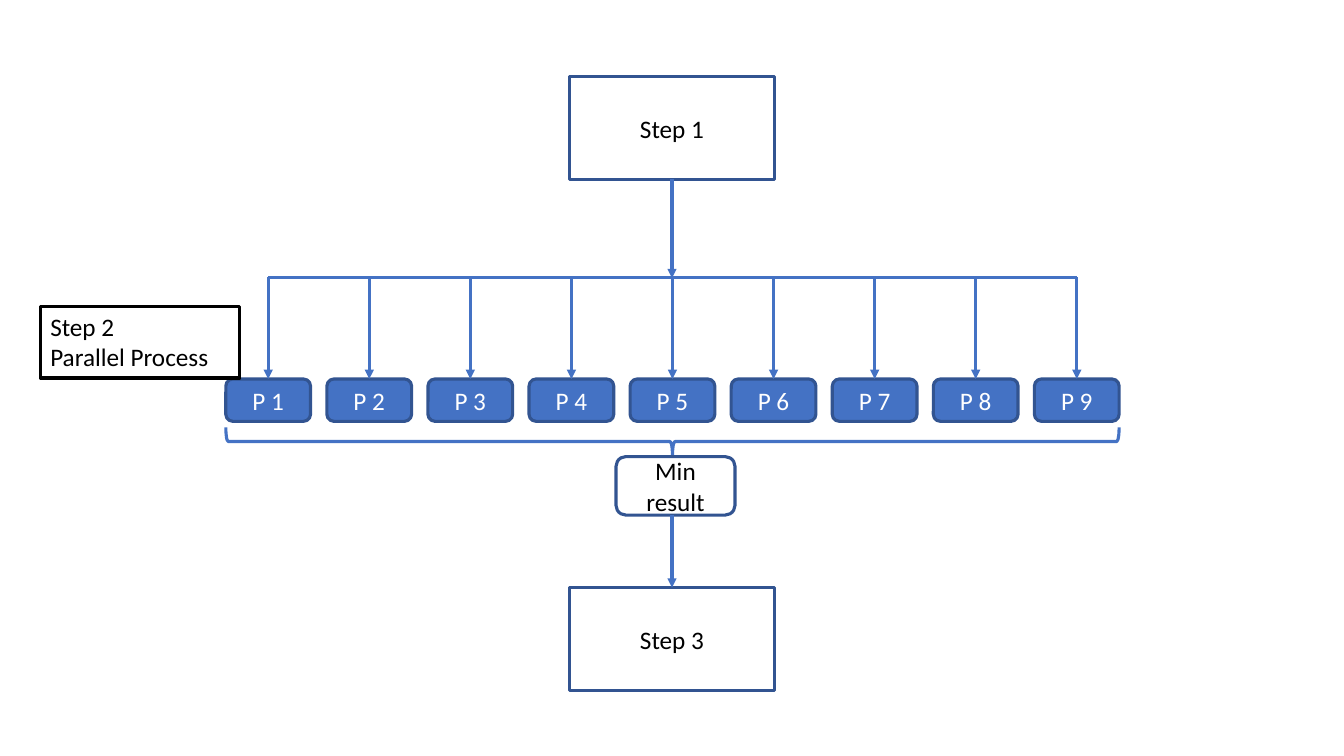
from lxml import etree
from pptx import Presentation
from pptx import util as u
from pptx.dml.color import RGBColor
from pptx.enum import shapes, text
from pptx.oxml import ns

BLUE, DARK_BLUE, WHITE, BLACK = "4472C4", "325491", "FFFFFF", "000000"
TOP, BOTTOM = 0, 2  # connection sites
LINE_WIDTH = u.Pt(2.25)


def color(value):
    return RGBColor.from_string(value)


def add_box(slide, kind, box, label="", fill=None, line=DARK_BLUE, font=BLACK,
            align=text.PP_ALIGN.CENTER, anchor=text.MSO_ANCHOR.MIDDLE):
    shape = slide.shapes.add_shape(kind, *(u.Inches(length) for length in box))
    shape.shadow.inherit = False
    if fill:
        shape.fill.solid()
        shape.fill.fore_color.rgb = color(fill)
    else:
        shape.fill.background()
    shape.line.color.rgb = color(line)
    shape.line.width = LINE_WIDTH
    frame = shape.text_frame
    frame.word_wrap = True
    frame.vertical_anchor = anchor
    frame.text = label
    for paragraph in frame.paragraphs:
        paragraph.alignment = align
        for run in paragraph.runs:
            run.font.name = "Calibri"
            run.font.size = u.Pt(18)
            run.font.color.rgb = color(font)
    return shape


def add_line(slide, start, end, source=None, target=None, arrow=True):
    line = slide.shapes.add_connector(
        shapes.MSO_CONNECTOR.STRAIGHT, *(u.Inches(length) for length in start + end))
    line.line.color.rgb = color(BLUE)
    line.line.width = LINE_WIDTH
    if arrow:
        etree.SubElement(line.line._get_or_add_ln(), ns.qn("a:tailEnd"), type="triangle")
    etree.SubElement(line._element.spPr, ns.qn("a:effectLst"))
    if source:
        line.begin_connect(source, BOTTOM)
    if target:
        line.end_connect(target, TOP)
    return line


def add_step(slide, box, label):
    return add_box(slide, shapes.MSO_SHAPE.RECTANGLE, box, label, WHITE)


def add_processes(slide, box, hub_x, count=9):
    """Branch line across the top of the box, arrows down to a row of processes."""
    left, top, width, height = box
    process_width, process_height = 0.84, 0.42
    pitch = (width - process_width) / (count - 1)
    process_top = top + height - process_height
    centers = [left + process_width / 2 + i * pitch for i in range(count)]

    # Branch line, one half to each side of the hub
    for end_x in (centers[0], centers[-1]):
        add_line(slide, (hub_x, top), (end_x, top), arrow=False)

    # Processes with their arrows
    for number, center in enumerate(centers, 1):
        process = add_box(
            slide, shapes.MSO_SHAPE.ROUNDED_RECTANGLE,
            (center - process_width / 2, process_top, process_width, process_height),
            f"P {number}", BLUE, font=WHITE)
        add_line(slide, (center, top), (center, process_top), target=process)


def add_result(slide, box, label):
    """Brace over the full width of the box, with the result below its tip."""
    left, top, width, height = box
    brace_height, result_width, result_height = 0.28, 1.18, 0.58
    # The brace is upright before it is turned about its centre
    brace = add_box(slide, shapes.MSO_SHAPE.LEFT_BRACE,
                    (left + (width - brace_height) / 2,
                     top + (brace_height - width) / 2, brace_height, width), line=BLUE)
    brace.rotation = 270
    add_box(slide, shapes.MSO_SHAPE.ROUNDED_RECTANGLE,
            (left + (width - result_width) / 2 + 0.03, top + height - result_height,
             result_width, result_height), label, WHITE)


def build_slide(presentation):
    slide = presentation.slides.add_slide(presentation.slide_layouts[6])
    step_left, step_width, step_height = 5.65, 2.03, 1.02
    row_left, row_width = 2.24, 8.86
    hub_x = step_left + step_width / 2

    # Step 1
    first = add_step(slide, (step_left, 0.76, step_width, step_height), "Step 1")
    add_line(slide, (hub_x, 1.78), (hub_x, 2.76), source=first)

    # Step 2: parallel processes and their result
    add_processes(slide, (row_left, 2.75, row_width, 1.43), hub_x)
    add_result(slide, (row_left, 4.24, row_width, 0.87), "Min result")
    add_box(slide, shapes.MSO_SHAPE.RECTANGLE, (0.4, 3.04, 1.98, 0.71),
            "Step 2\nParallel Process", line=BLACK,
            align=text.PP_ALIGN.LEFT, anchor=text.MSO_ANCHOR.TOP)

    # Step 3
    last = add_step(slide, (step_left, 5.83, step_width, step_height), "Step 3")
    add_line(slide, (hub_x, 5.11), (hub_x, 5.83), target=last)


def main():
    presentation = Presentation()
    presentation.slide_width = u.Inches(13.33)
    presentation.slide_height = u.Inches(7.5)
    build_slide(presentation)
    presentation.save("out.pptx")


if __name__ == "__main__":
    main()
